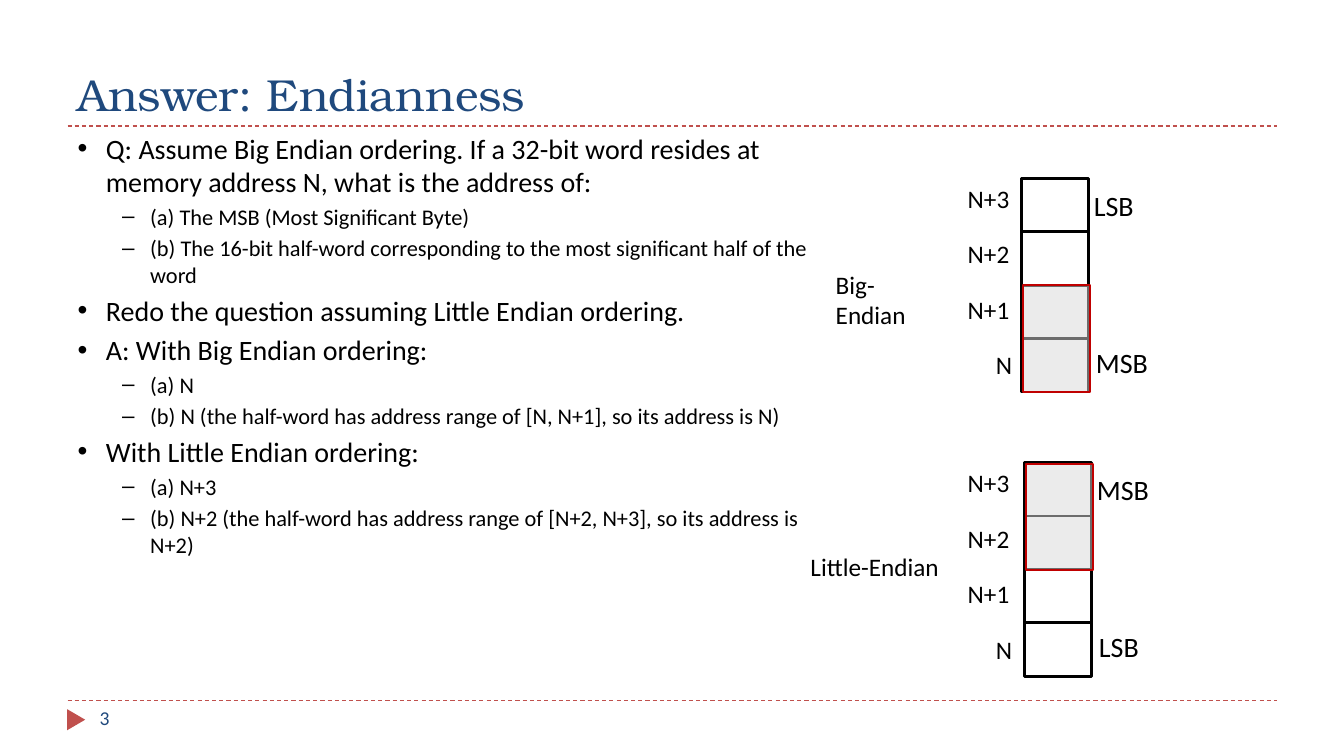
"""Build the slide that answers the endianness question with two memory diagrams."""
from dataclasses import dataclass

from lxml.etree import SubElement
from pptx import Presentation
from pptx.dml.color import RGBColor
from pptx.enum.dml import MSO_LINE
from pptx.enum.shapes import MSO_CONNECTOR, MSO_SHAPE
from pptx.enum.text import MSO_ANCHOR, MSO_AUTO_SIZE, PP_ALIGN
from pptx.oxml.ns import qn
from pptx.util import Inches, Pt


@dataclass(frozen=True)
class Theme:
    heading_font: str = "TeX Gyre Bonum"
    body_font: str = "Calibri"
    ink: str = "000000"
    paper: str = "FFFFFF"
    navy: str = "1F497D"
    accent: str = "C0504D"
    highlight: str = "D9D9D9"
    highlight_line: str = "C00000"
    title_size: int = 32
    body_size: int = 20
    detail_size: int = 16
    label_size: int = 18
    number_size: int = 14


THEME = Theme()
CELL_WIDTH, CELL_HEIGHT, ADDRESS_PITCH = 0.67, 0.53, 0.55
ADDRESSES = ["N+3", "N+2", "N+1", "N"]
BODY = [
    (0, "Q: Assume Big Endian ordering. If a 32-bit word resides at memory address N, "
        "what is the address of:"),
    (1, "(a) The MSB (Most Significant Byte)"),
    (1, "(b) The 16-bit half-word corresponding to the most significant half of the word"),
    (0, "Redo the question assuming Little Endian ordering."),
    (0, "A: With Big Endian ordering:"),
    (1, "(a) N"),
    (1, "(b) N (the half-word has address range of [N, N+1], so its address is N)"),
    (0, "With Little Endian ordering:"),
    (1, "(a) N+3"),
    (1, "(b) N+2 (the half-word has address range of [N+2, N+3], so its address is N+2)"),
]


def write(paragraph, text, size=THEME.label_size, color=THEME.ink, font=THEME.body_font):
    run = paragraph.add_run()
    run.text = text
    run.font.size = Pt(size)
    run.font.name = font
    run.font.color.rgb = RGBColor.from_string(color)


class SlideBuilder:
    def __init__(self, slide, theme):
        self.slide = slide
        self.theme = theme

    def place(self, shape, left, top, width, height):
        shape.left, shape.top = Inches(left), Inches(top)
        shape.width, shape.height = Inches(width), Inches(height)

    def title(self, text):
        shape = self.slide.shapes.title
        self.place(shape, 0.67, 0.25, 12, 1)
        frame = shape.text_frame
        frame.auto_size = MSO_AUTO_SIZE.NONE
        frame.vertical_anchor = MSO_ANCHOR.BOTTOM
        paragraph = frame.paragraphs[0]
        paragraph.alignment = PP_ALIGN.LEFT
        write(paragraph, text, self.theme.title_size, self.theme.navy, self.theme.heading_font)

    def body(self, items):
        shape = self.slide.placeholders[1]
        self.place(shape, 0.67, 1.25, 7.44, 5.92)
        frame = shape.text_frame
        frame.auto_size = MSO_AUTO_SIZE.NONE
        for index, (level, text) in enumerate(items):
            paragraph = frame.add_paragraph() if index else frame.paragraphs[0]
            size = self.theme.detail_size if level else self.theme.body_size
            paragraph.level = level
            paragraph.space_before = Pt(0.2 * size if index else 0)
            properties = paragraph._p.get_or_add_pPr()
            properties.set("marL", str(Inches(0.72 if level else 0.28)))
            properties.set("indent", str(Inches(-0.28)))
            write(paragraph, text, size)

    def label(self, text, left, top, width, height=0.4, wrap=False, **style):
        box = self.slide.shapes.add_textbox(
            Inches(left), Inches(top), Inches(width), Inches(height))
        box.text_frame.word_wrap = wrap
        write(box.text_frame.paragraphs[0], text, **style)

    def shape(self, left, top, width, height, fill, line=None, weight=1,
              kind=MSO_SHAPE.RECTANGLE, shapes=None, alpha=None):
        shapes = self.slide.shapes if shapes is None else shapes
        shape = shapes.add_shape(kind, Inches(left), Inches(top), Inches(width), Inches(height))
        shape.shadow.inherit = False
        shape.fill.solid()
        shape.fill.fore_color.rgb = RGBColor.from_string(fill)
        if line:
            shape.line.color.rgb = RGBColor.from_string(line)
            shape.line.width = Pt(weight)
        else:
            shape.line.fill.background()
        if alpha:
            color = shape.element.spPr.find(qn("a:solidFill")).find(qn("a:srgbClr"))
            SubElement(color, qn("a:alpha")).set("val", str(alpha * 1000))
        return shape

    def rule(self, top):
        line = self.slide.shapes.add_connector(
            MSO_CONNECTOR.STRAIGHT, Inches(0.67), Inches(top), Inches(12.67), Inches(top))
        line.line.color.rgb = RGBColor.from_string(self.theme.accent)
        line.line.width = Pt(0.75)
        line.line.dash_style = MSO_LINE.DASH
        SubElement(line.element.spPr, qn("a:effectLst"))

    def memory(self, left, top, upper, lower, highlight_top):
        theme = self.theme
        group = self.slide.shapes.add_group_shape()
        for index, address in enumerate(ADDRESSES):
            self.shape(left, top + index * CELL_HEIGHT, CELL_WIDTH, CELL_HEIGHT,
                       theme.paper, theme.ink, 2, shapes=group.shapes)
            address_left, width = (9.78, 0.4) if address == "N" else (9.5, 0.67)
            self.label(address, address_left, top + index * ADDRESS_PITCH, width)
        self.label(upper, left + 0.62, top + 0.05, 0.79, 0.44, True, size=theme.body_size)
        self.label(lower, left + 0.64, top + 1.61, 0.79, 0.44, True, size=theme.body_size)
        self.shape(left + 0.02, highlight_top, 0.66, 2 * CELL_HEIGHT,
                   theme.highlight, theme.highlight_line, 1.5, alpha=50)


def main():
    presentation = Presentation()
    presentation.slide_width, presentation.slide_height = Inches(13.33), Inches(7.5)
    slide = presentation.slides.add_slide(presentation.slide_layouts[1])
    builder = SlideBuilder(slide, THEME)
    builder.rule(6.95)
    builder.rule(1.25)
    marker = builder.shape(0.65, 7.05, 0.21, 0.18, THEME.accent,
                           kind=MSO_SHAPE.ISOSCELES_TRIANGLE)
    marker.rotation = 90
    builder.title("Answer: Endianness")
    builder.label("3", 0.89, 6.95, 2.89, wrap=True, size=THEME.number_size, color=THEME.navy)
    builder.body(BODY)
    builder.memory(10.13, 1.77, "LSB", "MSB", 2.83)
    builder.memory(10.16, 4.59, "MSB", "LSB", 4.6)
    builder.label("Big-Endian", 8.19, 2.62, 0.95, 0.7, wrap=True)
    builder.label("Little-Endian", 7.94, 5.42, 1.48)
    presentation.save("out.pptx")


if __name__ == "__main__":
    main()
